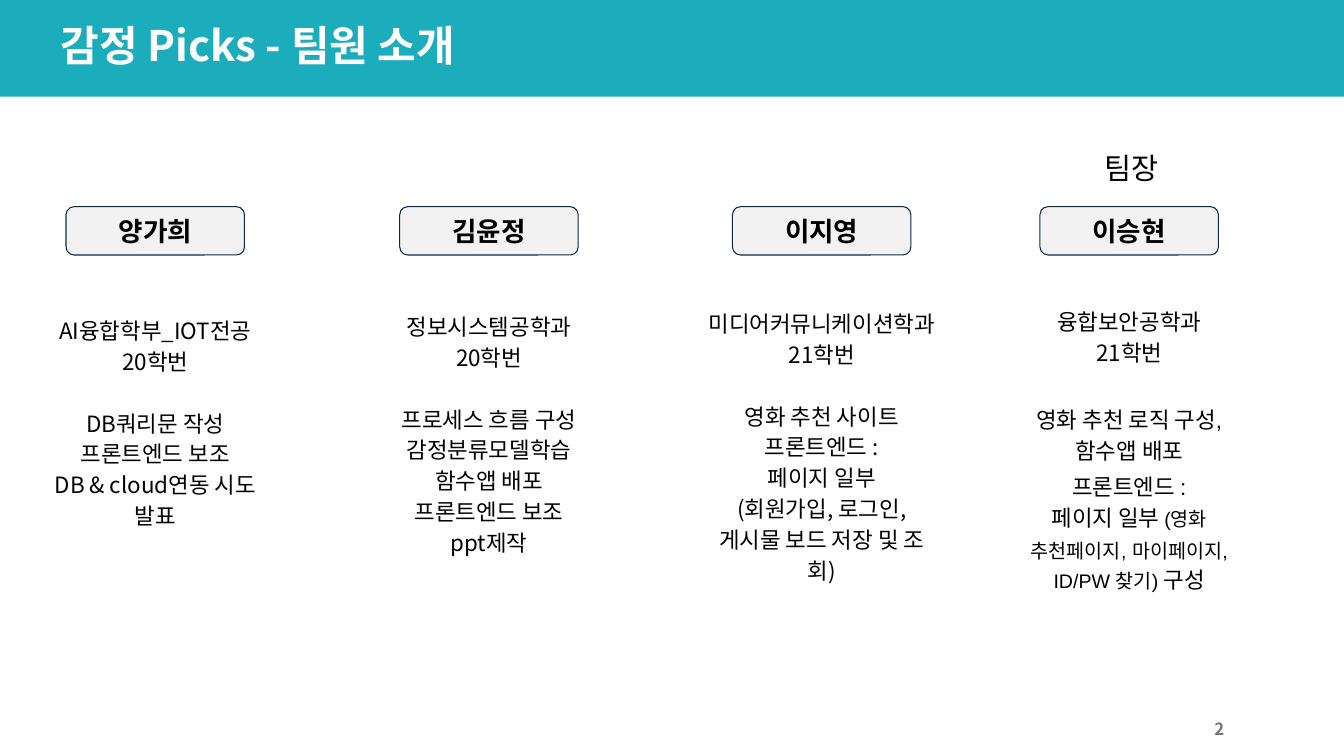
from lxml import etree
from pptx import Presentation, util as u
from pptx.dml.color import RGBColor
from pptx.enum import shapes, text
from pptx.oxml.ns import qn

TEAL = RGBColor(0x1C, 0xAD, 0xBD)
NAVY = RGBColor(0x0E, 0x28, 0x41)
PALE = RGBColor(0xF2, 0xF2, 0xF2)
GRAY = RGBColor(0x75, 0x75, 0x75)
WHITE = RGBColor(0xFF, 0xFF, 0xFF)
BLACK = RGBColor(0, 0, 0)
NOTO = "Noto Sans CJK KR"
MID = text.PP_ALIGN.CENTER

deck = Presentation()
deck.slide_width, deck.slide_height = u.Inches(13.33), u.Inches(7.5)
slide = deck.slides.add_slide(deck.slide_layouts[5])


def style(para, size, color=BLACK, bold=False, align=MID, face=NOTO):
    """Format a paragraph, with the Korean face set beside the Latin one."""
    para.alignment = align
    font = para.font
    font.size, font.bold, font.name = u.Pt(size), bold, face
    font.color.rgb = color
    props = para._p.pPr.find(qn("a:defRPr"))
    latin = props.find(qn("a:latin"))
    latin.addnext(etree.Element(qn("a:ea"), typeface=NOTO))


def add_box(left, top, width, height, inset=0.1):
    """Add a wrapping text box and return its text frame."""
    box = slide.shapes.add_textbox(*map(u.Inches, (left, top, width, height)))
    frame = box.text_frame
    frame.word_wrap = True
    frame.margin_top = frame.margin_bottom = u.Inches(inset)
    return frame


# Title band
title = slide.shapes.title
title.left = title.top = 0
title.width, title.height = deck.slide_width, u.Inches(0.96)
title.fill.solid()
title.fill.fore_color.rgb = TEAL
title.text_frame.text = "감정 Picks - 팀원 소개"
title.text_frame.vertical_anchor = text.MSO_ANCHOR.MIDDLE
head = title.text_frame.paragraphs[0]
head.line_spacing = 0.9
style(head, 30, WHITE, True, text.PP_ALIGN.LEFT)
head._p.pPr.set("marL", "0")
head._p.pPr.set("indent", str(u.Inches(0.5)))

# Members: name, column centre, text top, duty face, [(gap before, line)]
members = [
    ("양가희", 1.54, 3.01, NOTO, [
        (0, "AI융합학부_IOT전공"), (0, "20학번"), (22, "DB쿼리문 작성"),
        (0, "프론트엔드 보조"), (0, "DB & cloud연동 시도"), (0, "발표")]),
    ("김윤정", 4.85, 2.97, NOTO, [
        (0, "정보시스템공학과"), (0, "20학번"), (22, "프로세스 흐름 구성"),
        (0, "감정분류모델학습"), (0, "함수앱 배포"), (0, "프론트엔드 보조"),
        (0, "ppt제작")]),
    ("이지영", 8.15, 2.94, NOTO, [
        (0, "미디어커뮤니케이션학과"), (0, "21학번"), (22, "영화 추천 사이트"),
        (0, "프론트엔드 :"), (0, "페이지 일부"),
        (0, "(회원가입, 로그인, 게시물 보드 저장 및 조회)")]),
    ("이승현", 11.2, 2.92, "Arial", [
        (0, "융합보안공학과"), (0, "21학번"),
        (26, "영화 추천 로직 구성, 함수앱 배포"), (4, "프론트엔드 :"),
        (0, "페이지 일부 ")]),
]
CARD, COL = 1.77, 2.49

for name, mid, top, face, lines in members:
    card = slide.shapes.add_shape(
        shapes.MSO_SHAPE.ROUNDED_RECTANGLE,
        *map(u.Inches, (mid - CARD / 2, 2.05, CARD, 0.48)))
    card.shadow.inherit = False
    card.fill.solid()
    card.fill.fore_color.rgb = PALE
    card.line.color.rgb = NAVY
    card.line.width = u.Pt(0.75)
    card.text_frame.text = name
    card.text_frame.vertical_anchor = text.MSO_ANCHOR.MIDDLE
    style(card.text_frame.paragraphs[0], 19, bold=True)

    frame = add_box(mid - COL / 2, top, COL, 2.6)
    for row, (gap, line) in enumerate(lines):
        para = frame.add_paragraph() if row else frame.paragraphs[0]
        para.add_run().text = line
        para.line_spacing = u.Pt(22)
        if gap:
            para.space_before = u.Pt(gap)
        style(para, 16, face=face if row > 1 else NOTO)

# The leader's last line goes on in a smaller size
small = para.add_run()
small.text = "(영화 추천페이지, 마이페이지, ID/PW 찾기) "
small.font.size = u.Pt(14)
para.add_run().text = "구성"

lead = add_box(10.71, 1.39, 1.02, 0.4)
lead.text = "팀장"
style(lead.paragraphs[0], 21)

page = add_box(9.24, 7.03, 3, 0.4, 0.05)
page.text = "2"
page.vertical_anchor = text.MSO_ANCHOR.MIDDLE
style(page.paragraphs[0], 12, GRAY, True, text.PP_ALIGN.RIGHT)

deck.save("out.pptx")
